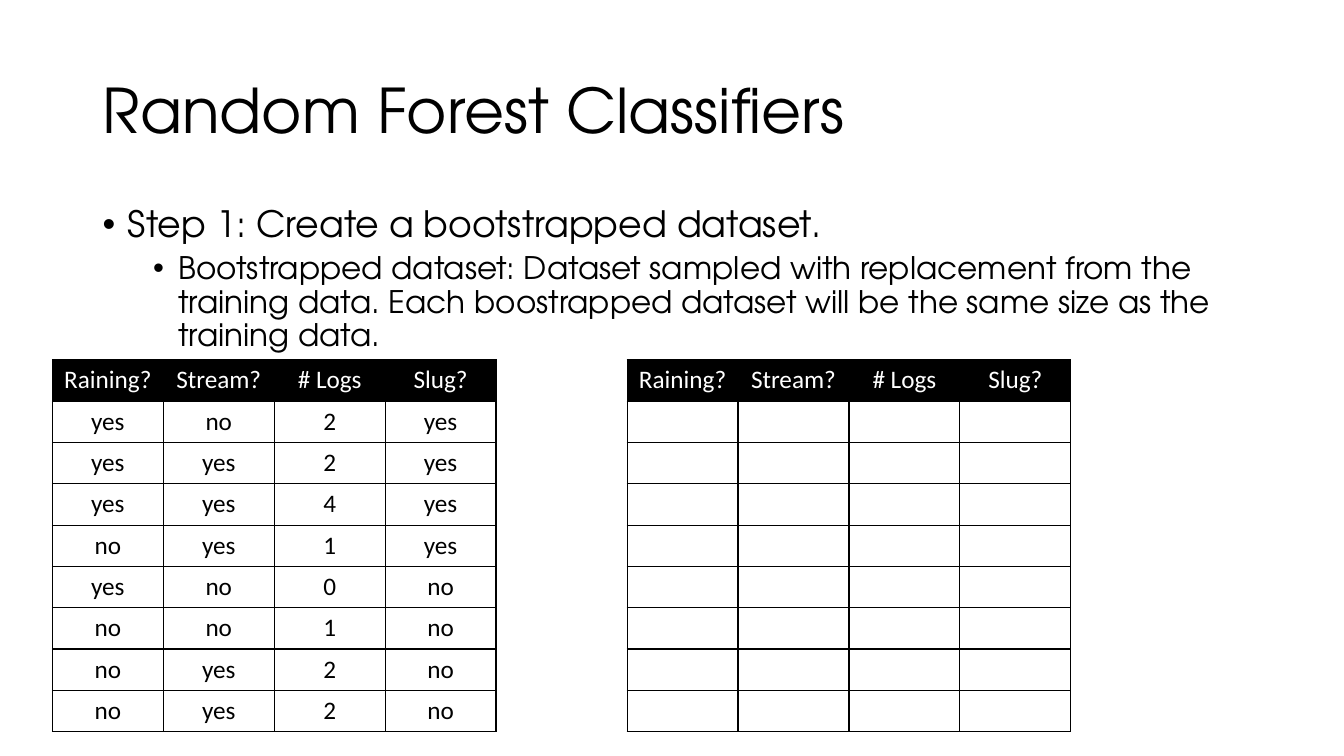
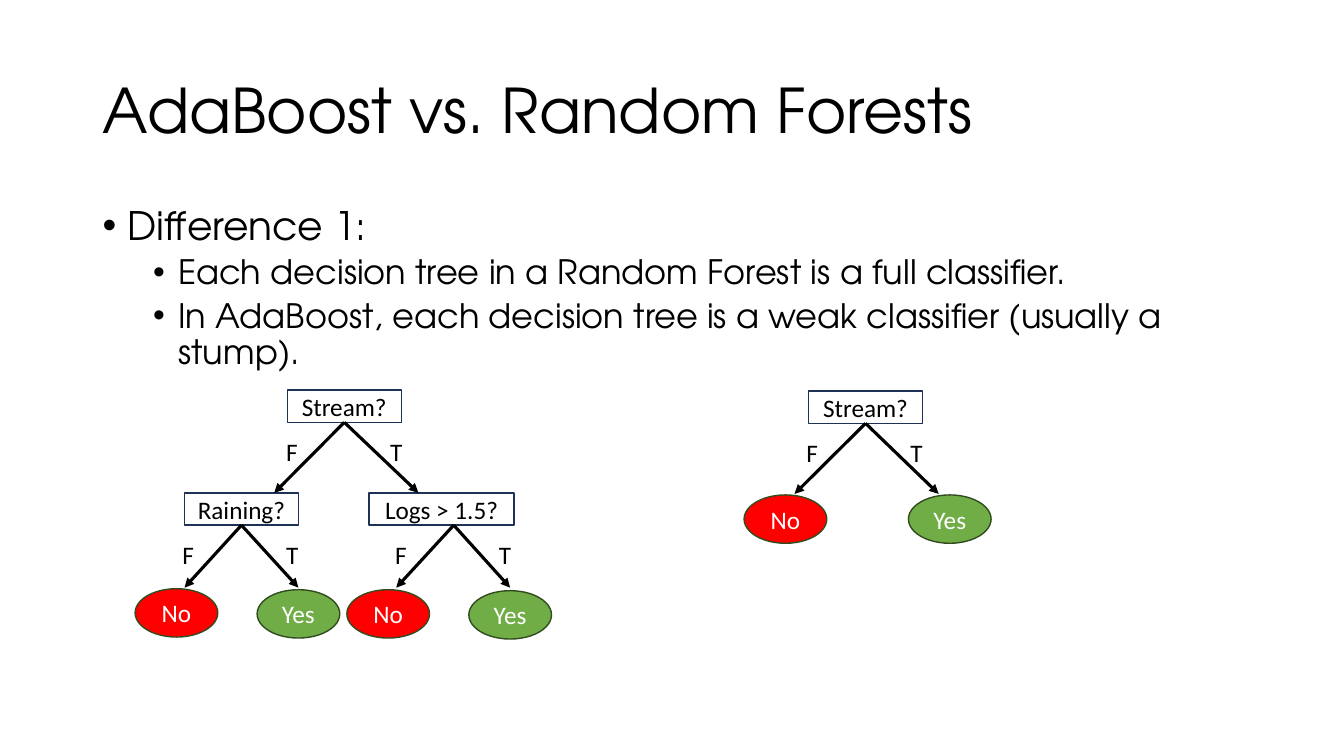
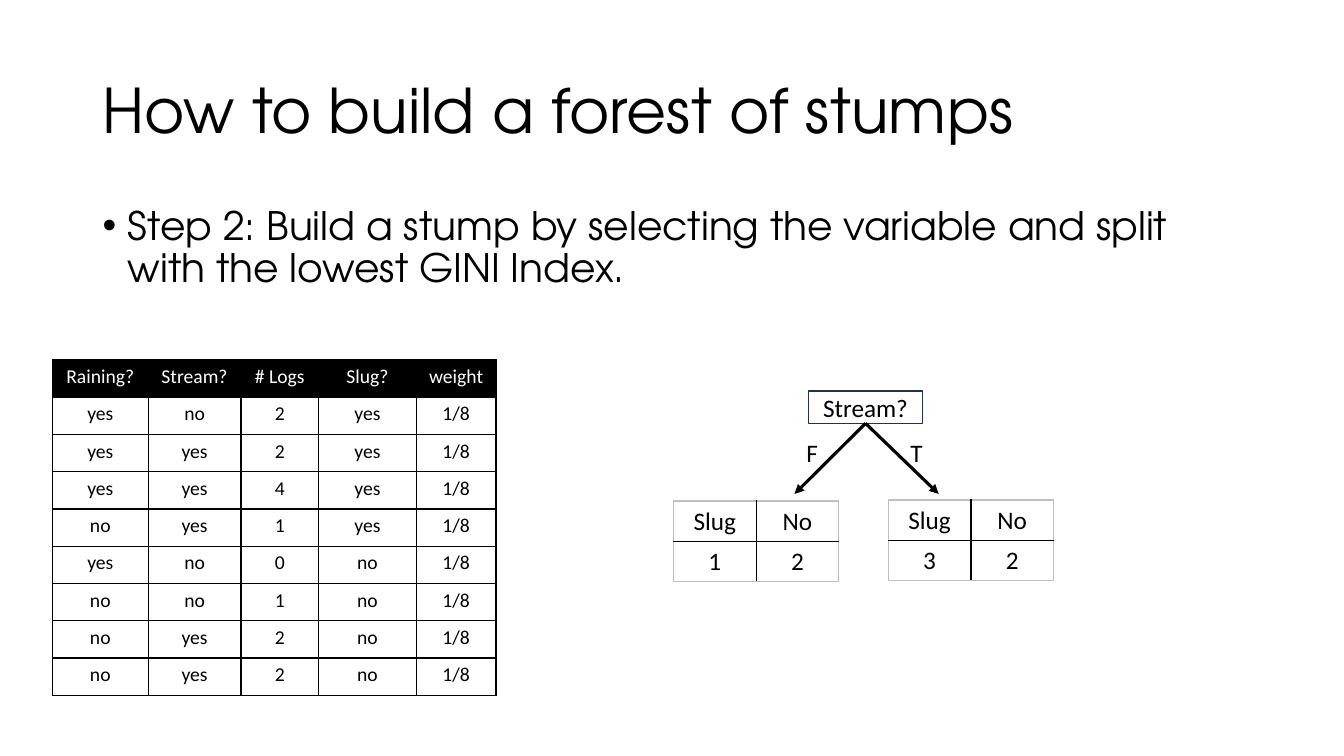
"""Three slides on random forests, AdaBoost and forests of stumps."""
from lxml.etree import SubElement, fromstring
from pptx import Presentation
from pptx.dml.color import RGBColor
from pptx.enum.shapes import MSO_CONNECTOR, MSO_SHAPE
from pptx.enum.text import MSO_ANCHOR, MSO_AUTO_SIZE, PP_ALIGN
from pptx.oxml.ns import nsdecls, qn
from pptx.util import Inches, Pt

COLORS = {
    "black": "000000",
    "white": "FFFFFF",
    "grey": "BFBFBF",
    "navy": "1E3256",
    "red": "FF0000",
    "green": "70AD47",
    "dark_green": "314C1F",
}
RGB = {name: RGBColor.from_string(value) for name, value in COLORS.items()}
HEADING_FONT = "TeX Gyre Adventor"
LEAF_FILL = {"No": "red", "Yes": "green"}


def write(tf, text, size=18, color="black", font="Calibri", align=PP_ALIGN.LEFT,
          spacing=None, before=None, level=None):
    p = tf.paragraphs[0]
    if p.runs:
        p = tf.add_paragraph()
    p.alignment = align
    p.line_spacing = spacing
    if before is not None:
        p.space_before = Pt(before)
    if level is not None:
        p.level = level
        pPr = p._p.get_or_add_pPr()
        pPr.set("marL", str(Inches(0.25 + 0.5 * level)))
        pPr.set("indent", str(Inches(-0.25)))
        SubElement(pPr, qn("a:buFont"), typeface="Arial")
        SubElement(pPr, qn("a:buChar"), char="•")
    r = p.add_run()
    r.text = text
    r.font.size = Pt(size)
    r.font.name = font
    r.font.bold = False
    r.font.color.rgb = RGB[color]


header = ["Raining?", "Stream?", "# Logs", "Slug?"]
samples = [
    ["yes", "no", "2", "yes"],
    ["yes", "yes", "2", "yes"],
    ["yes", "yes", "4", "yes"],
    ["no", "yes", "1", "yes"],
    ["yes", "no", "0", "no"],
    ["no", "no", "1", "no"],
    ["no", "yes", "2", "no"],
    ["no", "yes", "2", "no"],
]
training = [header] + samples
bootstrap = [header] + [[""] * len(header) for _ in samples]
weighted = [header + ["weight"]] + [row + ["1/8"] for row in samples]

wide = dict(widths=[1.1] * 4, height=0.41, size=18, filled=True, edge="black")
narrow = dict(widths=[0.95, 0.92, 0.77, 0.97, 0.79], height=0.37, size=14,
              filled=True, edge="black")
counts = dict(widths=[0.82] * 2, height=0.4, size=18, filled=False, edge="grey")

stump = dict(text="Stream?", x=8.02, y=3.88, w=1.13, fork=8.58,
             left=0.7, right=0.73, drop=0.7)

slides = [
    dict(
        title="Random Forest Classifiers",
        bullets=[
            (0, 25.9, "Step 1: Create a bootstrapped dataset."),
            (1, 22.2, "Bootstrapped dataset: Dataset sampled with replacement from the "
                      "training data. Each boostrapped dataset will be the same size as "
                      "the training data."),
        ],
        tables=[(training, 0.52, 3.57, wide), (bootstrap, 6.22, 3.57, wide)],
    ),
    dict(
        title="AdaBoost vs. Random Forests",
        bullets=[
            (0, 28, "Difference 1:"),
            (1, 24, "Each decision tree in a Random Forest is a full classifier."),
            (1, 24, "In AdaBoost, each decision tree is a weak classifier "
                    "(usually a stump)."),
        ],
        splits=[
            dict(text="Stream?", x=2.85, y=3.87, w=1.13, fork=3.42,
                 left=0.7, right=0.73, drop=0.7),
            dict(text="Raining?", x=1.83, y=4.89, w=1.13, fork=2.39,
                 left=0.56, right=0.57, drop=0.62),
            dict(text="Logs > 1.5?", x=3.66, y=4.89, w=1.44, fork=4.5,
                 left=0.57, right=0.56, drop=0.62),
            stump,
        ],
        leaves=[
            ("No", 1.34, 5.84), ("Yes", 2.55, 5.85),
            ("No", 3.44, 5.85), ("Yes", 4.65, 5.86),
            ("No", 7.38, 4.91), ("Yes", 9.01, 4.91),
        ],
    ),
    dict(
        title="How to build a forest of stumps",
        bullets=[
            (0, 28, "Step 2: Build a stump by selecting the variable and split with "
                    "the lowest GINI Index."),
        ],
        tables=[
            (weighted, 0.52, 3.57, narrow),
            ([["Slug", "No"], ["1", "2"]], 6.68, 4.97, counts),
            ([["Slug", "No"], ["3", "2"]], 8.81, 4.96, counts),
        ],
        splits=[stump],
    ),
]

prs = Presentation()
prs.slide_width = Inches(13.33)
prs.slide_height = Inches(7.5)

for content in slides:
    s = prs.slides.add_slide(prs.slide_layouts[6])

    tf = s.shapes.add_textbox(Inches(0.92), Inches(0.4), Inches(11.5), Inches(1.45)).text_frame
    tf.word_wrap = True
    tf.vertical_anchor = MSO_ANCHOR.MIDDLE
    write(tf, content["title"], size=44, font=HEADING_FONT, spacing=0.9)

    tf = s.shapes.add_textbox(Inches(0.92), Inches(2), Inches(11.5), Inches(1.45)).text_frame
    tf.word_wrap = True
    for level, size, text in content["bullets"]:
        write(tf, text, size=size, font=HEADING_FONT, spacing=0.9,
              before=10 - 5 * level, level=level)

    for rows, x, y, look in content.get("tables", []):
        widths = look["widths"]
        table = s.shapes.add_table(len(rows), len(widths), Inches(x), Inches(y),
                                   Inches(sum(widths)),
                                   Inches(look["height"] * len(rows))).table
        table.first_row = look["filled"]
        table.horz_banding = False
        for column, width in zip(table.columns, widths):
            column.width = Inches(width)
        for i, row in enumerate(rows):
            table.rows[i].height = Inches(look["height"])
            for j, text in enumerate(row):
                cell = table.cell(i, j)
                is_header = look["filled"] and i == 0
                if look["filled"]:
                    cell.fill.solid()
                    cell.fill.fore_color.rgb = RGB["black" if is_header else "white"]
                else:
                    cell.fill.background()
                if text:
                    write(cell.text_frame, text, size=look["size"], align=PP_ALIGN.CENTER,
                          color="white" if is_header else "black")
                outer = {"lnL": j == 0, "lnR": j == len(row) - 1,
                         "lnT": i == 0, "lnB": i == len(rows) - 1}
                for k, (side, at_edge) in enumerate(outer.items()):
                    color = COLORS[look["edge"] if at_edge else "black"]
                    cell._tc.get_or_add_tcPr().insert(k, fromstring(
                        f'<a:{side} {nsdecls("a")} w="{Pt(1)}"><a:solidFill>'
                        f'<a:srgbClr val="{color}"/></a:solidFill></a:{side}>'))

    nodes = [(MSO_SHAPE.RECTANGLE, n["text"], n["x"], n["y"], n["w"], 0.32,
              "white", "navy", "black") for n in content.get("splits", [])]
    nodes += [(MSO_SHAPE.OVAL, text, x, y, 0.82, 0.48, LEAF_FILL[text], "dark_green", "white")
              for text, x, y in content.get("leaves", [])]
    boxes = []
    for kind, text, x, y, w, h, fill, line, color in nodes:
        sp = s.shapes.add_shape(kind, Inches(x), Inches(y), Inches(w), Inches(h))
        sp.shadow.inherit = False
        sp.fill.solid()
        sp.fill.fore_color.rgb = RGB[fill]
        sp.line.color.rgb = RGB[line]
        sp.line.width = Pt(1)
        sp.text_frame.vertical_anchor = MSO_ANCHOR.MIDDLE
        write(sp.text_frame, text, color=color, align=PP_ALIGN.CENTER)
        boxes.append(sp)

    for split, box in zip(content.get("splits", []), boxes):
        fork, bottom = split["fork"], split["y"] + 0.32
        for label, reach, shift in [("F", -split["left"], -0.68), ("T", split["right"], 0.35)]:
            branch = s.shapes.add_connector(
                MSO_CONNECTOR.STRAIGHT, Inches(fork), Inches(bottom),
                Inches(fork + reach), Inches(bottom + split["drop"]))
            if abs(split["x"] + split["w"] / 2 - fork) < 0.02:
                branch.begin_connect(box, 2)
            branch.line.color.rgb = RGB["black"]
            branch.line.width = Pt(2.25)
            SubElement(branch.line._get_or_add_ln(), qn("a:tailEnd"), type="triangle")
            SubElement(branch._element.spPr, qn("a:effectLst"))

            tf = s.shapes.add_textbox(Inches(fork + shift), Inches(bottom + 0.09),
                                      Inches(0.32), Inches(0.4)).text_frame
            tf.word_wrap = False
            tf.auto_size = MSO_AUTO_SIZE.SHAPE_TO_FIT_TEXT
            write(tf, label)

prs.save("out.pptx")
